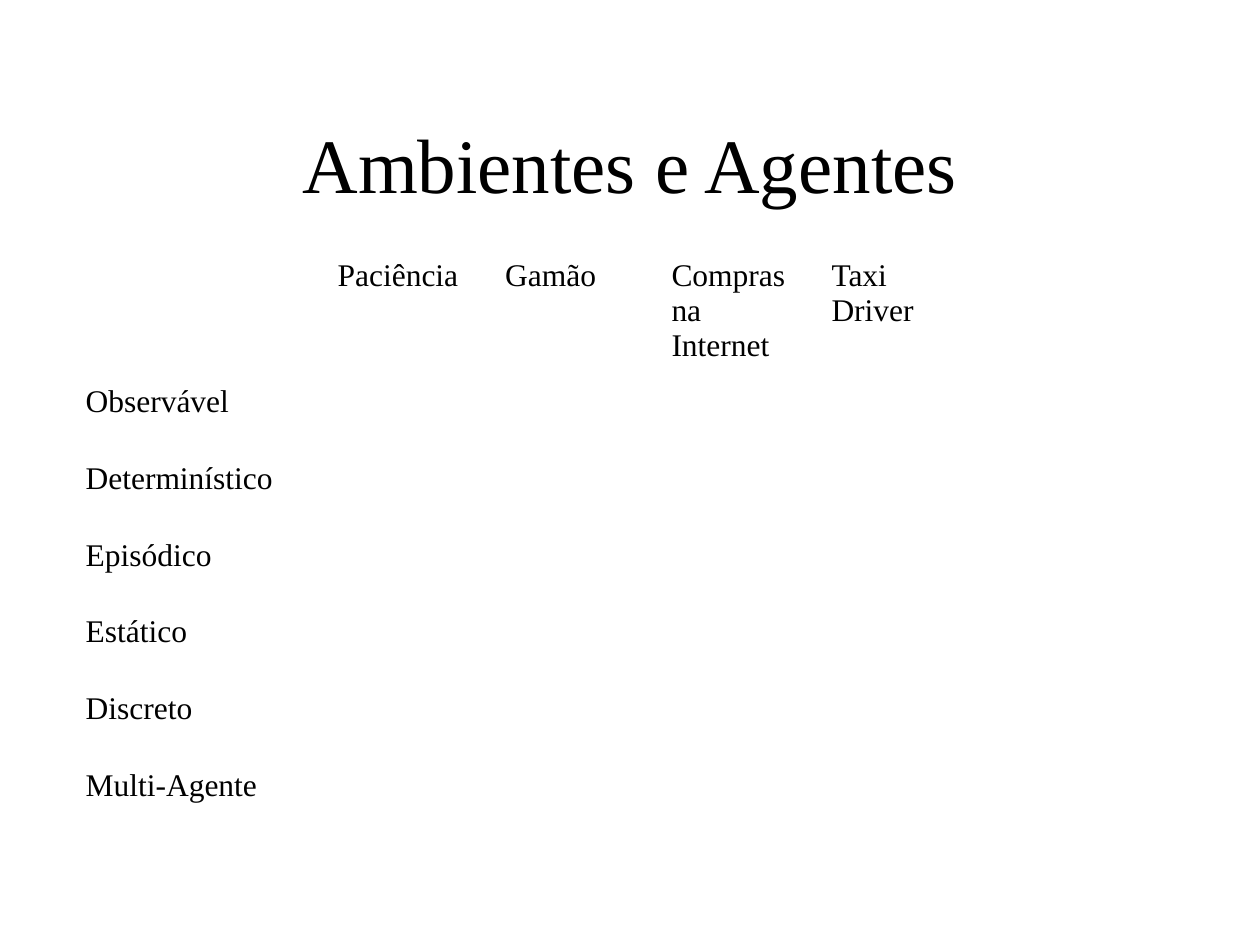
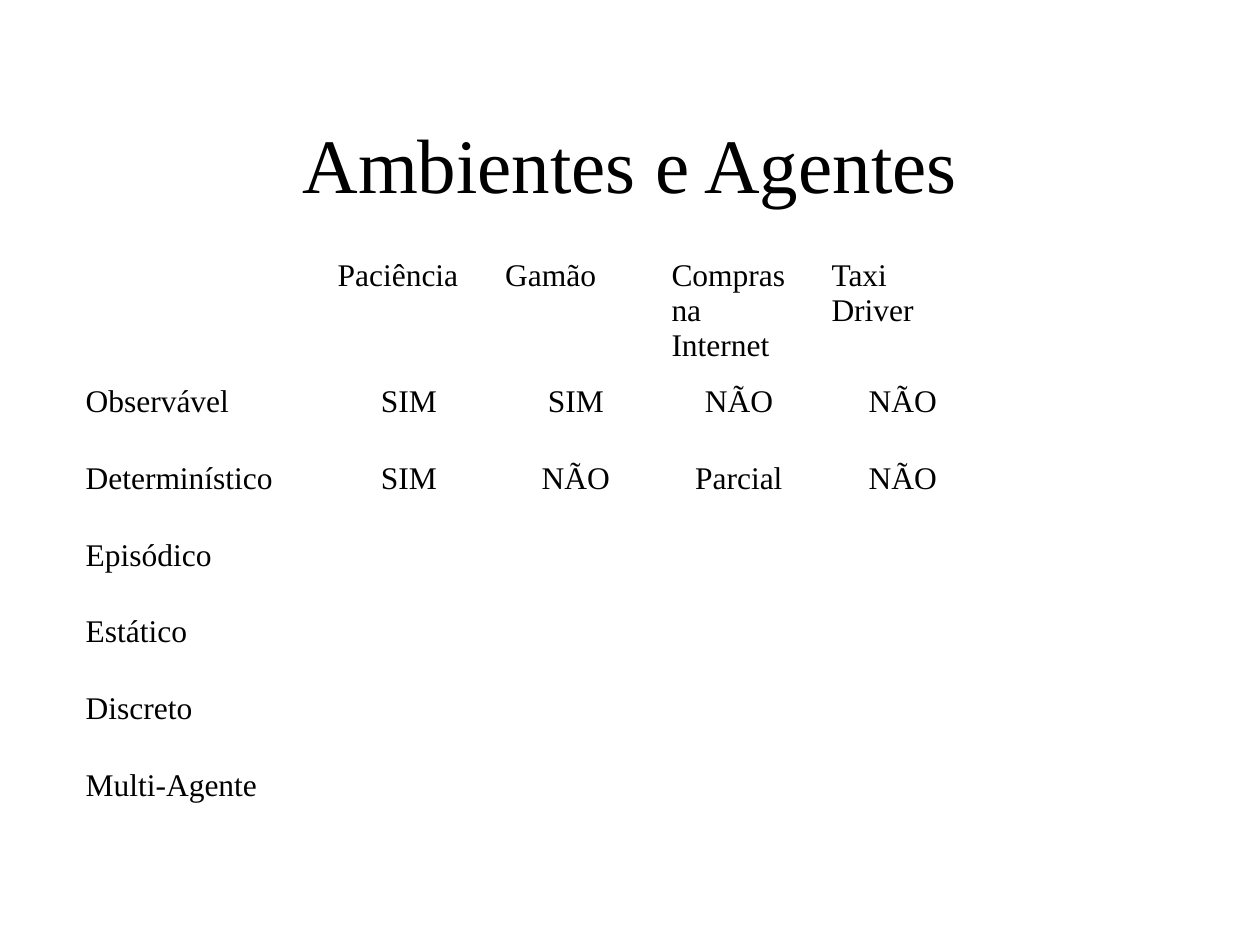
import pptx
import pptx.dml.color
import pptx.enum.text
import pptx.util

Inches = pptx.util.Inches
Pt = pptx.util.Pt
ALIGN = pptx.enum.text.PP_ALIGN
ANCHOR = pptx.enum.text.MSO_ANCHOR

GAMES = ["Paciência", "Gamão", "Compras na Internet", "Taxi Driver"]
PROPERTIES = ["Observável", "Determinístico", "Episódico", "Estático", "Discreto", "Multi-Agente"]
ANSWERS = {
    "Observável": ["SIM", "SIM", "NÃO", "NÃO"],
    "Determinístico": ["SIM", "NÃO", "Parcial", "NÃO"],
}
COL_WIDTHS = [2, 1.33, 1.32, 1.27, 1.33]
HEADER_HEIGHT, ROW_HEIGHT = 1, 0.61


def color(value):
    return pptx.dml.color.RGBColor.from_string(value)


def apply(target, values):
    for name, value in values.items():
        setattr(target, name, value)


class Deck:
    font = "Times New Roman"
    ink = "000000"
    paper = "FFFFFF"
    frame = {
        "margin_left": Inches(0.1), "margin_right": Inches(0.1),
        "margin_top": Inches(0.05), "margin_bottom": Inches(0.05),
    }

    def __init__(self):
        self.prs = pptx.Presentation()
        apply(self.prs, {"slide_width": Inches(10), "slide_height": Inches(7.5)})
        self.s = None

    def slide(self, title):
        self.s = self.prs.slides.add_slide(self.prs.slide_layouts[5])
        fill = self.s.background.fill
        fill.solid()
        fill.fore_color.rgb = color(self.paper)
        self.title(title)

    def title(self, text):
        sp = self.s.shapes.title
        apply(sp, {"left": Inches(0.75), "top": Inches(0.67),
                   "width": Inches(8.5), "height": Inches(1.25)})
        tf = sp.text_frame
        apply(tf, {**self.frame, "vertical_anchor": ANCHOR.MIDDLE, "word_wrap": True})
        self.text(tf, text, 44, {"alignment": ALIGN.CENTER})

    def text(self, tf, text, size, paragraph):
        p = tf.paragraphs[0]
        apply(p, paragraph)
        r = p.add_run()
        r.text = text
        apply(r.font, {"name": self.font, "size": Pt(size), "bold": False})
        r.font.color.rgb = color(self.ink)

    def table(self, rows, left, top):
        heights = [HEADER_HEIGHT] + [ROW_HEIGHT] * (len(rows) - 1)
        sp = self.s.shapes.add_table(
            len(rows), len(COL_WIDTHS), Inches(left), Inches(top),
            Inches(sum(COL_WIDTHS)), Inches(sum(heights)))
        tbl = sp.table
        apply(tbl, {"first_row": False, "horz_banding": False})
        for col, width in zip(tbl.columns, COL_WIDTHS):
            col.width = Inches(width)
        for row, height in zip(tbl.rows, heights):
            row.height = Inches(height)
        for i, values in enumerate(rows):
            for j, value in enumerate(values):
                cell = tbl.cell(i, j)
                cell.fill.background()
                apply(cell, self.frame)
                if value:
                    align = ALIGN.CENTER if i and j else ALIGN.LEFT
                    self.text(cell.text_frame, value, 18,
                              {"alignment": align, "space_before": Pt(4.5)})


def main():
    deck = Deck()
    for answers in ({}, ANSWERS):
        deck.slide("Ambientes e Agentes")
        rows = [[""] + GAMES]
        rows += [[name] + answers.get(name, [""] * len(GAMES)) for name in PROPERTIES]
        deck.table(rows, 0.58, 2)
    deck.prs.save("out.pptx")


if __name__ == "__main__":
    main()
